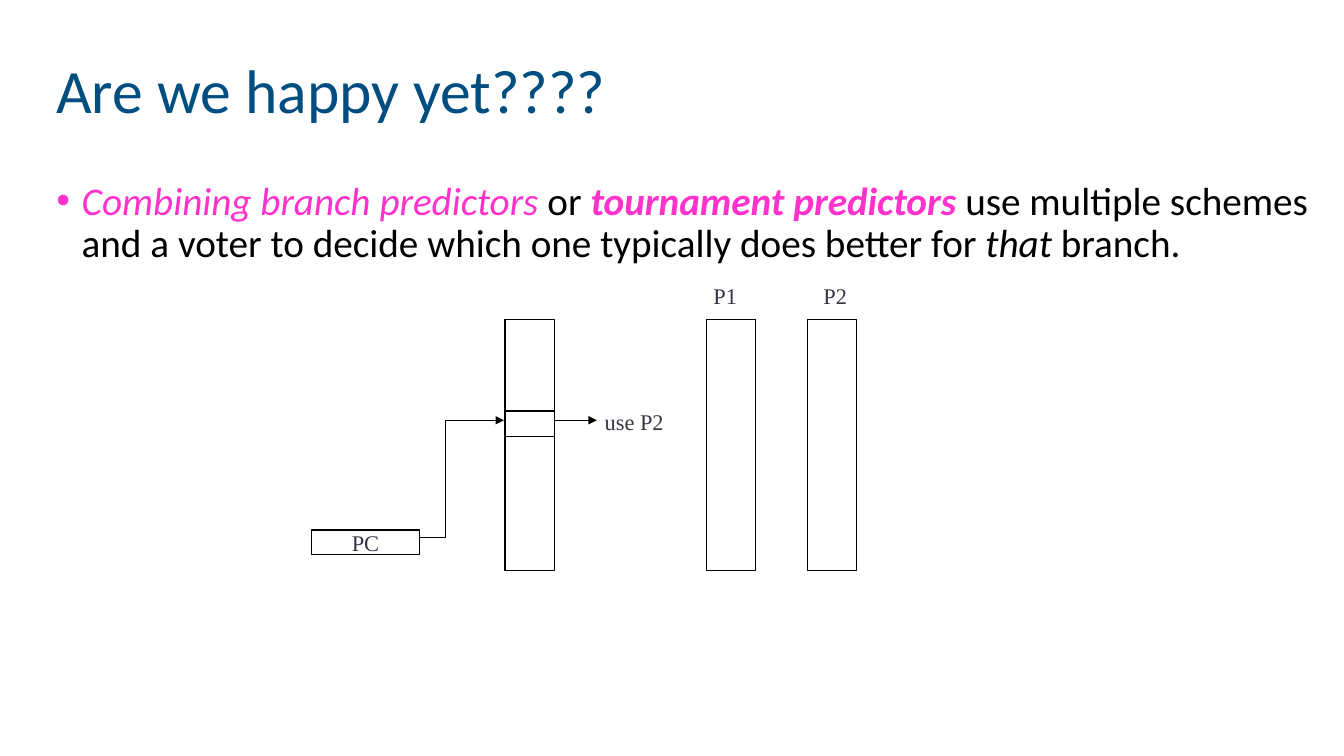
from pptx import Presentation
from pptx.util import Cm, Pt
from pptx.dml.color import RGBColor
from pptx.enum.shapes import MSO_SHAPE as Shape, MSO_CONNECTOR as Link
from pptx.enum.text import MSO_ANCHOR as Anchor, PP_ALIGN as Align, MSO_AUTO_SIZE as Fit
from pptx.oxml.ns import qn
from lxml.etree import SubElement

BLACK, BLUE, PINK, SLATE = "000000", "004D80", "FF33CC", "373545"
SANS, SERIF = "Calibri", "Times New Roman"

TITLE = "Are we happy yet????"
BODY = [
    ("Combining branch predictors ", PINK, False, True),
    ("or ", BLACK, False, False),
    ("tournament predictors ", PINK, True, True),
    ("use multiple schemes and a voter to decide which one typically does better for ",
     BLACK, False, False),
    ("that ", BLACK, False, True),
    ("branch.", BLACK, False, False),
]
LEFT, WIDE = 1.17, 32.08
BAR_TOP, BAR_W, BAR_H = 8.05, 1.24, 6.32
VOTER, BARS = 12.73, (17.8, 20.35)
PC = (7.85, 13.36, 2.72, 0.61)
LABELS = [("P1", 17.73, 6.99, 1.12), ("P2", 20.5, 6.99, 1.12), ("use P2", 14.99, 10.16, 2.01)]
ROUTE = [(10.59, 13.54), (11.23, 13.54), (11.23, 10.59), (12.7, 10.59)]
ROW_L, ROW_R, ROW_YS = 12.7, 13.97, (10.36, 11.0)
USE_END = 15.04

deck = Presentation()
deck.slide_width, deck.slide_height = Cm(33.87), Cm(19.05)
slide = deck.slides.add_slide(deck.slide_layouts[6])
shapes = slide.shapes


def paint(fmt, color):
    fmt.rgb = RGBColor.from_string(color)


def style(run, size, face, color, bold=False, slant=False):
    font = run.font
    font.size, font.name, font.bold, font.italic = Pt(size), face, bold, slant
    paint(font.color, color)


def add_text(x, y, w, h, text="", wrap=True):
    frame = shapes.add_textbox(Cm(x), Cm(y), Cm(w), Cm(h)).text_frame
    frame.word_wrap = wrap
    frame.text = text
    return frame


def add_box(x, y, w, h):
    box = shapes.add_shape(Shape.RECTANGLE, Cm(x), Cm(y), Cm(w), Cm(h))
    box.shadow.inherit = False
    box.fill.background()
    paint(box.line.color, BLACK)
    box.line.width = Pt(1)
    return box


def add_line(start, end, arrow=False):
    line = shapes.add_connector(Link.STRAIGHT, *map(Cm, start + end))
    paint(line.line.color, BLACK)
    line.line.width = Pt(1)
    props = line._element.spPr
    if arrow:
        SubElement(props.find(qn("a:ln")), qn("a:tailEnd"), type="triangle")
    SubElement(props, qn("a:effectLst"))


head = add_text(LEFT, 0.51, WIDE, 3.68, TITLE)
head.vertical_anchor = Anchor.MIDDLE
head.paragraphs[0].line_spacing = 0.9
style(head.paragraphs[0].runs[0], 44, SANS, BLUE)

para = add_text(LEFT, 4.45, WIDE, 12.73).paragraphs[0]
para.line_spacing, para.space_before = 0.9, Pt(10)
for words, color, bold, slant in BODY:
    run = para.add_run()
    run.text = words
    style(run, 28, SANS, color, bold, slant)
props = para._p.get_or_add_pPr()
props.set("marL", str(Cm(0.64)))
props.set("indent", str(-Cm(0.64)))
SubElement(props, qn("a:buFont"), typeface="Arial")
SubElement(props, qn("a:buChar"), char="•")

frame = add_box(*PC).text_frame
frame.text = "PC"
frame.word_wrap = False
frame.vertical_anchor = Anchor.MIDDLE
frame.paragraphs[0].alignment = Align.CENTER
style(frame.paragraphs[0].runs[0], 16, SERIF, SLATE)

for x in (VOTER, *BARS):
    add_box(x, BAR_TOP, BAR_W, BAR_H)

for start, end in zip(ROUTE, ROUTE[1:]):
    add_line(start, end, end == ROUTE[-1])
for y in ROW_YS:
    add_line((ROW_L, y), (ROW_R, y))
add_line((ROW_R, ROUTE[-1][1]), (USE_END, ROUTE[-1][1]), True)

for text, x, y, w in LABELS:
    frame = add_text(x, y, w, 0.94, text, False)
    frame.auto_size = Fit.SHAPE_TO_FIT_TEXT
    style(frame.paragraphs[0].runs[0], 16, SERIF, SLATE)

deck.save("out.pptx")
